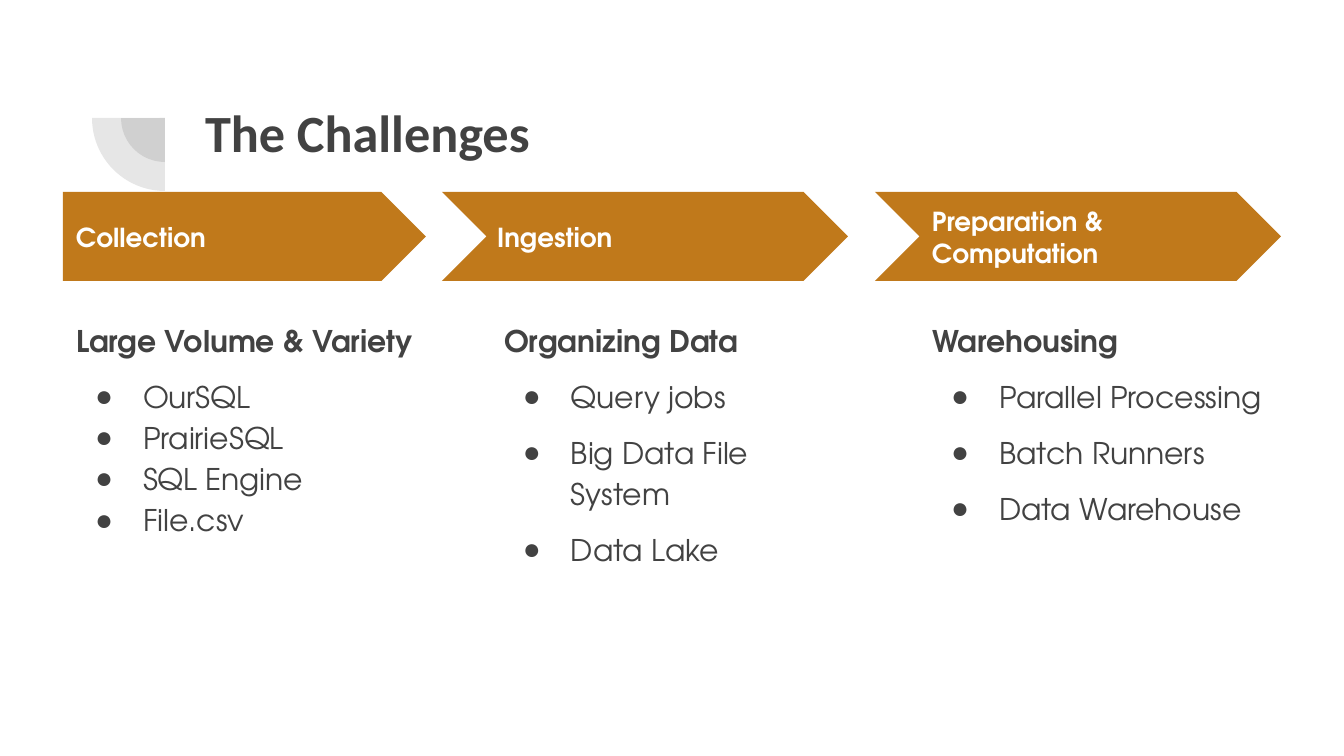
from dataclasses import dataclass

import pptx
import pptx.dml.color
import pptx.enum.shapes
import pptx.enum.text
import pptx.oxml
import pptx.oxml.ns
import pptx.util
from lxml import etree

SHAPES = pptx.enum.shapes.MSO_SHAPE
ANCHOR = pptx.enum.text.MSO_ANCHOR
COLORS = {"ink": "424242", "arrow": "C0791B", "label": "FFFFFF"}
TITLE_FONT = "Calibri"
BODY_FONT = "TeX Gyre Adventor"
EMU_PER_PX = 9144000 / 1344
INSET = 13
ARROW_TOP, ARROW_HEIGHT = 192, 89
LABEL_TOP, LABEL_HEIGHT = 214, 46
LIST_LEFT, LIST_STEP = 63, 428
LIST_TOP, LIST_WIDTH, LIST_HEIGHT = 304, 363, 390
BULLET_INDENT, BULLET_HANG = 67, 48


@dataclass
class Box:
    left: int
    top: int
    width: int
    height: int


@dataclass
class Stage:
    name: str
    outline: int
    arrow_left: int
    arrow_width: int
    label_left: int
    label_width: int
    placeholder: int
    heading: str
    items: list[str]
    item_gap: int
    last_gap: int


STAGES = [
    Stage("Collection", SHAPES.PENTAGON, 63, 363, 63, 332, 2,
          "Large Volume & Variety",
          ["OurSQL", "PrairieSQL", "SQL Engine", "File.csv"], 0, 0),
    Stage("Ingestion", SHAPES.CHEVRON, 442, 406, 484, 375, 4,
          "Organizing Data",
          ["Query jobs", "Big Data File System", "Data Lake"], 8, 8),
    Stage("Preparation & Computation", SHAPES.CHEVRON, 875, 406, 919, 360, 1,
          "Warehousing",
          ["Parallel Processing", "Batch Runners", "Data Warehouse"], 8, 8),
]


def px(length: int) -> int:
    return round(length * EMU_PER_PX)


def rgb(color: str) -> pptx.dml.color.RGBColor:
    return pptx.dml.color.RGBColor.from_string(COLORS[color])


def place(shape, box: Box) -> None:
    shape.left, shape.top = px(box.left), px(box.top)
    shape.width, shape.height = px(box.width), px(box.height)


def prepare_frame(shape, anchor):
    frame = shape.text_frame
    frame.word_wrap = True
    frame.auto_size = pptx.enum.text.MSO_AUTO_SIZE.NONE
    frame.vertical_anchor = anchor
    frame.margin_left = frame.margin_right = px(INSET)
    frame.margin_top = frame.margin_bottom = px(INSET)
    return frame


def write(paragraph, text: str, font: str, size: int, color: str, bold: bool,
          spacing: float = 1.0, before: int = 0, after: int = 0) -> None:
    paragraph.alignment = pptx.enum.text.PP_ALIGN.LEFT
    paragraph.line_spacing = spacing
    paragraph.space_before = pptx.util.Pt(before)
    paragraph.space_after = pptx.util.Pt(after)
    run = paragraph.add_run()
    run.text = text
    run.font.name = font
    run.font.size = pptx.util.Pt(size)
    run.font.bold = bold
    run.font.color.rgb = rgb(color)


def set_bullet(paragraph, character: str = "") -> None:
    properties = paragraph._p.get_or_add_pPr()
    qn = pptx.oxml.ns.qn
    if character:
        properties.set("marL", str(px(BULLET_INDENT)))
        properties.set("indent", str(-px(BULLET_HANG)))
        bullet_color = etree.SubElement(properties, qn("a:buClr"))
        etree.SubElement(bullet_color, qn("a:srgbClr"), val=COLORS["ink"])
        etree.SubElement(properties, qn("a:buChar"), char=character)
    else:
        properties.set("marL", "0")
        properties.set("indent", "0")
        etree.SubElement(properties, qn("a:buNone"))


def add_filled(slide, outline: int, box: Box, color: str):
    shape = slide.shapes.add_shape(outline, 0, 0, 0, 0)
    place(shape, box)
    shape.shadow.inherit = False
    shape.fill.solid()
    shape.fill.fore_color.rgb = rgb(color)
    shape.line.fill.background()
    return shape


def add_quarter(slide, center_x: int, center_y: int, radius: int) -> None:
    box = Box(center_x - radius, center_y - radius, 2 * radius, 2 * radius)
    quarter = add_filled(slide, SHAPES.PIE, box, "ink")
    quarter.adjustments[0] = 54
    quarter.adjustments[1] = 108
    qn = pptx.oxml.ns.qn
    fill_color = quarter._element.spPr.find(qn("a:solidFill"))[0]
    etree.SubElement(fill_color, qn("a:alpha"), val="13000")


def add_stage(slide, stage: Stage, column: int) -> None:
    arrow_box = Box(stage.arrow_left, ARROW_TOP, stage.arrow_width, ARROW_HEIGHT)
    add_filled(slide, stage.outline, arrow_box, "arrow")

    label = slide.shapes.add_textbox(0, 0, 0, 0)
    place(label, Box(stage.label_left, LABEL_TOP, stage.label_width, LABEL_HEIGHT))
    label_frame = prepare_frame(label, ANCHOR.MIDDLE)
    write(label_frame.paragraphs[0], stage.name, BODY_FONT, 14, "label", True)

    challenges = slide.placeholders[stage.placeholder]
    place(challenges, Box(LIST_LEFT + column * LIST_STEP, LIST_TOP,
                          LIST_WIDTH, LIST_HEIGHT))
    frame = prepare_frame(challenges, ANCHOR.TOP)
    heading = frame.paragraphs[0]
    write(heading, stage.heading, BODY_FONT, 16, "ink", True, 1.15)
    set_bullet(heading)
    for number, item in enumerate(stage.items, 1):
        before = 8 if number == 1 else stage.item_gap
        after = stage.last_gap if number == len(stage.items) else 0
        entry = frame.add_paragraph()
        write(entry, item, BODY_FONT, 16, "ink", False, 1.15, before, after)
        set_bullet(entry, "●")


def main() -> None:
    presentation = pptx.Presentation()
    presentation.slide_width = px(1344)
    presentation.slide_height = px(756)
    slide = presentation.slides.add_slide(
        presentation.slide_layouts.get_by_name("Comparison"))

    for radius in (44, 73):
        add_quarter(slide, 165, 118, radius)

    title = slide.shapes.title
    place(title, Box(192, 87, 1034, 146))
    title_frame = prepare_frame(title, ANCHOR.TOP)
    write(title_frame.paragraphs[0], "The Challenges", TITLE_FONT, 28, "ink", True)

    for column, stage in enumerate(STAGES):
        add_stage(slide, stage, column)

    for placeholder in list(slide.placeholders):
        if not placeholder.text_frame.text:
            placeholder._element.getparent().remove(placeholder._element)

    presentation.save("out.pptx")


if __name__ == "__main__":
    main()
